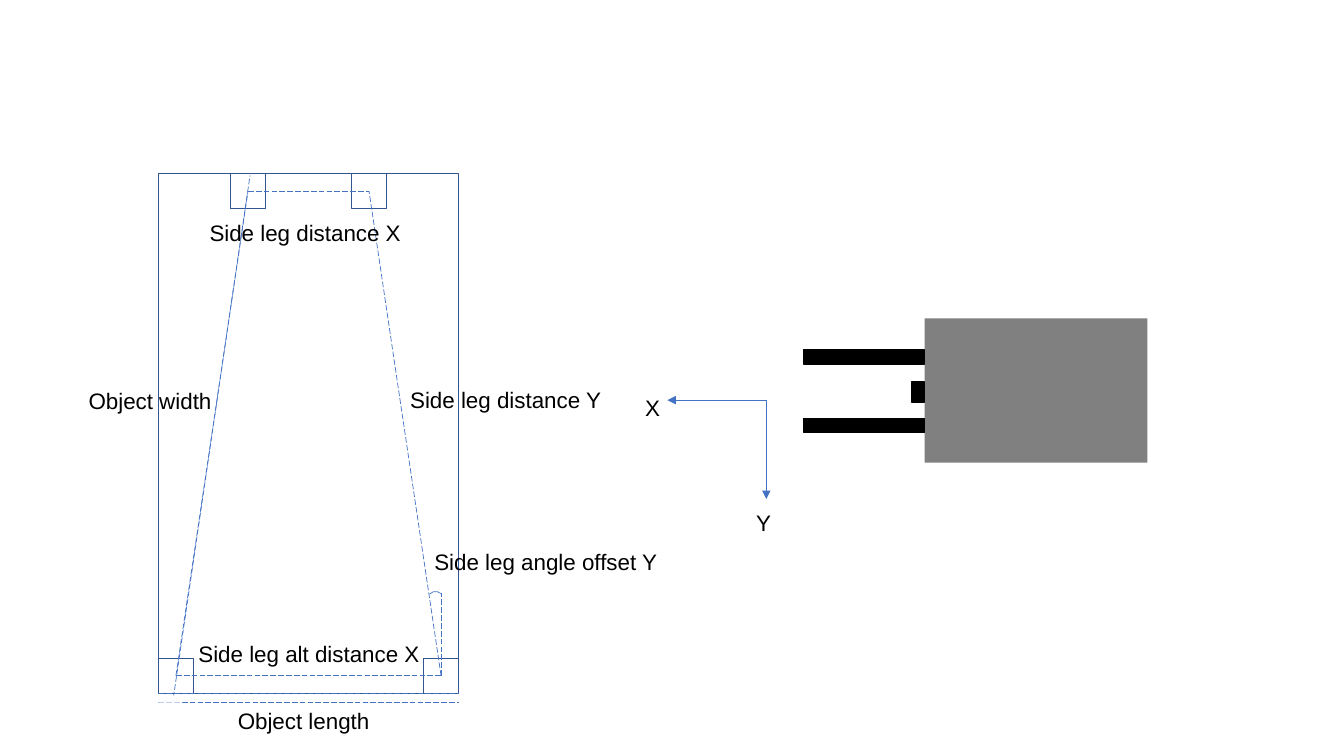
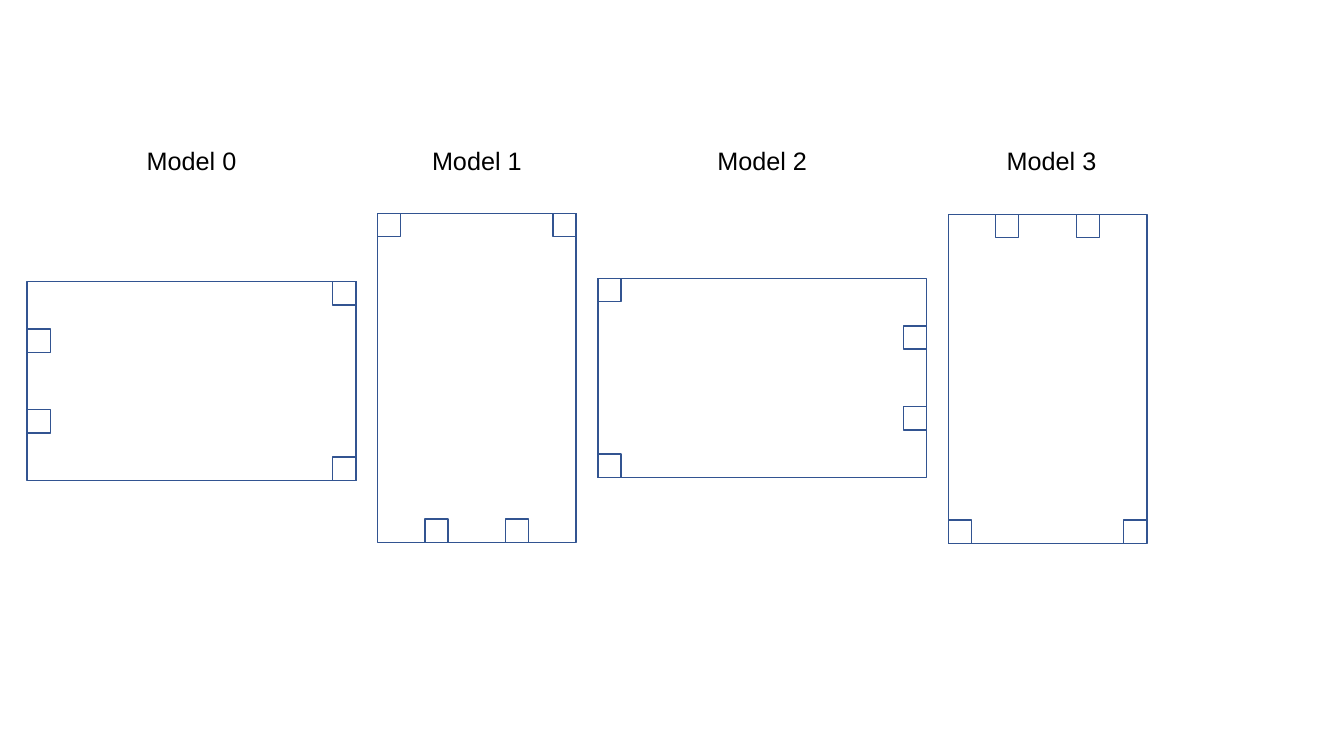
from math import cos, radians, sin

from lxml.etree import SubElement
from pptx import Presentation
from pptx.dml.color import RGBColor
from pptx.enum.dml import MSO_LINE
from pptx.enum.shapes import MSO_CONNECTOR, MSO_SHAPE
from pptx.enum.text import MSO_AUTO_SIZE, PP_ALIGN
from pptx.oxml.ns import qn
from pptx.util import Inches, Pt

COLORS = {
    "outline": "325491",
    "guide": "4472C4",
    "text": "000000",
    "fork": "000000",
    "body": "808080",
    "paper": "FFFFFF",
}
LABEL_HEIGHT = 0.37


def color(name):
    return RGBColor.from_string(COLORS[name])


def apply_format(target, values):
    for name, value in values.items():
        setattr(target, name, value)


def add_label(page, text, left, top, width, size=16, wrap=True, align=PP_ALIGN.LEFT):
    box = page.shapes.add_textbox(
        Inches(left), Inches(top), Inches(width), Inches(LABEL_HEIGHT)
    )
    apply_format(
        box.text_frame,
        {"word_wrap": wrap, "auto_size": MSO_AUTO_SIZE.SHAPE_TO_FIT_TEXT},
    )
    para = box.text_frame.paragraphs[0]
    para.alignment = align
    span = para.add_run()
    span.text = text
    apply_format(span.font, {"name": "Arial", "size": Pt(size)})
    span.font.color.rgb = color("text")


def add_block(page, left, top, width, height, fill=None, line=None,
              weight=1, kind=MSO_SHAPE.RECTANGLE):
    shape = page.shapes.add_shape(
        kind, Inches(left), Inches(top), Inches(width), Inches(height)
    )
    shape.shadow.inherit = False
    if fill:
        shape.fill.solid()
        shape.fill.fore_color.rgb = color(fill)
    else:
        shape.fill.background()
    if line:
        shape.line.color.rgb = color(line)
        shape.line.width = Pt(weight)
    else:
        shape.line.fill.background()
    return shape


def add_guide(page, start, end, arrow=False):
    guide = page.shapes.add_connector(
        MSO_CONNECTOR.STRAIGHT, *(Inches(value) for value in (*start, *end))
    )
    guide.line.color.rgb = color("guide")
    guide.line.width = Pt(0.5)
    if arrow:
        SubElement(guide.line._get_or_add_ln(), qn("a:tailEnd"), type="triangle")
    else:
        guide.line.dash_style = MSO_LINE.LONG_DASH
    SubElement(guide._element.spPr, qn("a:effectLst"))


def draw_object(page, center, length, width, leg, gap, turn):
    across, down = round(cos(radians(turn))), round(sin(radians(turn)))

    def add_centered(x, y, box_width, box_height):
        add_block(page, x - box_width / 2, y - box_height / 2,
                  box_width, box_height, line="outline")

    size = (width, length) if down else (length, width)
    add_centered(*center, *size)
    legs = []
    for end, spread in ((-1, width - leg), (1, gap)):
        for side in (-1, 1):
            along, beside = end * (length - leg) / 2, side * spread / 2
            spot = (center[0] + along * across - beside * down,
                    center[1] + along * down + beside * across)
            add_centered(*spot, leg, leg)
            legs.append(spot)
    return legs


def draw_measured_object(page, left, top, width, length):
    center = (left + width / 2, top + length / 2)
    wide_left, wide_right, narrow_left, narrow_right = draw_object(
        page, center, length, width, leg=0.35, gap=1.2, turn=270
    )
    right, bottom = left + width, top + length
    angle_top = (wide_right[0], wide_right[1] - 0.82)
    for start, end in (
        (wide_right, narrow_right),
        (wide_left, narrow_left),
        (narrow_left, narrow_right),
        (wide_left, wide_right),
        (wide_right, angle_top),
        ((left, bottom + 0.09), (right, bottom + 0.09)),
        ((left, bottom), (right, bottom)),
        ((left + 0.15, bottom + 0.04), (left + 0.91, top + 0.02)),
    ):
        add_guide(page, start, end)
    add_block(page, left, bottom + 0.02, 0.24, 0.07, fill="paper")
    arc = add_block(page, angle_top[0] - 0.13, angle_top[1] - 0.02, 0.16, 0.17,
                    line="guide", weight=0.5, kind=MSO_SHAPE.ARC)
    arc.rotation = 311.4
    for text, x, y, label_width in (
        ("Side leg distance Y", 2.4, 2.06, 2.36),
        ("Side leg alt distance X", 0.3, 4.58, 2.5),
        ("Side leg distance X", 0.41, 0.41, 2.57),
        ("Object width", -0.79, 2.07, 1.95),
        ("Object length", 0.69, 5.25, 1.95),
        ("Side leg angle offset Y", 2.64, 3.67, 3.13),
    ):
        add_label(page, text, left + x, top + y, label_width)


def draw_axes(page, left, top, reach):
    for text, end, x, y, width in (
        ("X", (left - reach, top), -1.3, -0.11, 0.37),
        ("Y", (left, top + reach), -0.2, 1.03, 0.42),
    ):
        add_guide(page, (left, top), end, arrow=True)
        add_label(page, text, left + x, top + y, width)


def draw_vehicle(page, left, top, width, height):
    add_block(page, left, top, width, height, fill="body")
    for y, part_width, part_height in (
        (0.31, 1.2, 0.14), (0.99, 1.2, 0.14), (0.63, 0.13, 0.2)
    ):
        add_block(page, left - part_width, top + y, part_width, part_height,
                  fill="fork", line="fork")


def draw_models(page, left, top, step):
    turns = ((180, 0.03, 0), (90, 0, 0), (0, 0, 0), (270, 0.01, 0.04))
    for number, (turn, drop, shift) in enumerate(turns):
        x = left + number * step
        draw_object(page, (x, top + drop), 3.26, 1.97, leg=0.23, gap=0.8, turn=turn)
        add_label(page, f"Model {number}", x - 0.55 + shift, top - 2.36, 1.1,
                  size=18, wrap=False, align=PP_ALIGN.CENTER)


def main():
    deck = Presentation()
    apply_format(deck, {"slide_width": Inches(13.33), "slide_height": Inches(7.5)})
    blank = deck.slide_layouts[6]

    measures = deck.slides.add_slide(blank)
    draw_vehicle(measures, 9.17, 3.16, 2.21, 1.43)
    draw_measured_object(measures, 1.57, 1.72, 2.98, 5.16)
    draw_axes(measures, 7.6, 3.97, 0.98)

    models = deck.slides.add_slide(blank)
    draw_models(models, 1.9, 3.75, 2.83)

    deck.save("out.pptx")


if __name__ == "__main__":
    main()
